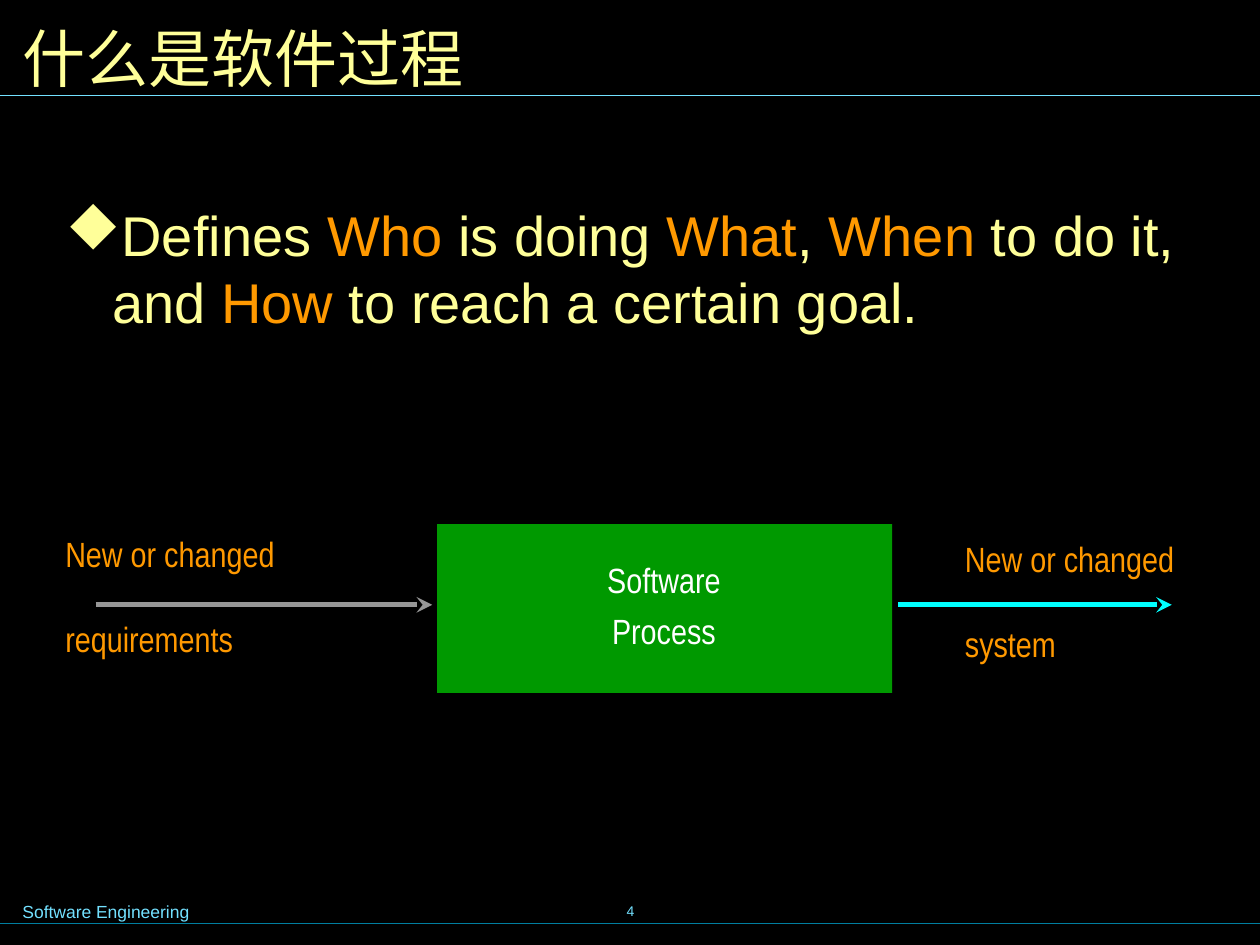
from lxml.etree import SubElement
from pptx import Presentation
from pptx.dml.color import RGBColor
from pptx.enum.shapes import MSO_CONNECTOR, MSO_SHAPE
from pptx.enum.text import MSO_ANCHOR, MSO_AUTO_SIZE, PP_ALIGN
from pptx.oxml.ns import qn
from pptx.util import Inches, Pt

WIDTH, HEIGHT = 10, 7.5
YELLOW, ORANGE, SKY = "FFFF99", "FF9900", "73E1FF"

# Content
TITLE = "什么是软件过程"
DEFINITION = [
    ("Defines ", YELLOW), ("Who ", ORANGE), ("is doing ", YELLOW),
    ("What", ORANGE), (", ", YELLOW), ("When ", ORANGE),
    ("to do it, and ", YELLOW), ("How", ORANGE),
    (" to reach a certain goal.", YELLOW),
]
# Lines, box, colour, alignment, gap between the lines in points
DIAGRAM_LABELS = [
    (["New or changed", "requirements"], (0.42, 4.23, 1.86, 1.06), ORANGE, PP_ALIGN.LEFT, 29),
    (["New or changed", "system"], (7.56, 4.27, 1.93, 1.06), ORANGE, PP_ALIGN.LEFT, 29),
    (["Software", "Process"], (4.72, 4.44, 1.1, 0.78), "FFFFFF", PP_ALIGN.CENTER, 9),
]
PROCESS_BOX = (3.47, 4.16, 3.61, 1.34)
ARROW_Y = 4.8
ARROWS = [(0.76, 3.43, "969696"), (7.13, 9.3, "00FFFF")]
RULES = [(0.76, SKY), (7.33, "007E9F")]


def color(value):
    return RGBColor.from_string(value)


def inches(values):
    return [Inches(value) for value in values]


def style(font, name, size, value):
    font.name, font.size = name, Pt(size)
    font.color.rgb = color(value)


def add_text(slide, lines, box, name, size, value, align=PP_ALIGN.LEFT, wrap=True):
    frame = slide.shapes.add_textbox(*inches(box)).text_frame
    frame.word_wrap = wrap
    frame.text = "\n".join(lines)
    for paragraph in frame.paragraphs:
        paragraph.alignment = align
        style(paragraph.runs[0].font, name, size, value)
    return frame


def add_line(slide, start, end, y, value, weight, arrow=False):
    line = slide.shapes.add_connector(MSO_CONNECTOR.STRAIGHT, *inches((start, y, end, y)))
    line.line.color.rgb = color(value)
    line.line.width = Pt(weight)
    if arrow:
        SubElement(line.line._get_or_add_ln(), qn("a:tailEnd"), type="stealth")
    SubElement(line._element.spPr, qn("a:effectLst"))


def add_diamond_bullet(paragraph, value, indent):
    properties = paragraph._p.get_or_add_pPr()
    properties.set("marL", str(Inches(indent)))
    properties.set("indent", str(-Inches(indent)))
    bullet_color = SubElement(properties, qn("a:buClr"))
    SubElement(bullet_color, qn("a:srgbClr"), val=value)
    # The letter u is a diamond in this symbol font
    SubElement(properties, qn("a:buFont"), typeface="Wingdings", pitchFamily="2", charset="2")
    SubElement(properties, qn("a:buChar"), char="u")


def main():
    presentation = Presentation()
    presentation.slide_width, presentation.slide_height = inches((WIDTH, HEIGHT))
    slide = presentation.slides.add_slide(presentation.slide_layouts[5])
    slide.background.fill.solid()
    slide.background.fill.fore_color.rgb = color("000000")

    # Rules and footer
    for y, value in RULES:
        add_line(slide, 0, WIDTH, y, value, 0.75)
    add_text(slide, ["Software Engineering"], (0.08, 7.1, 2.95, 0.27), "Arial", 10, SKY)
    number = add_text(slide, ["4"], (3.42, 6.98, 3.17, 0.5), "Arial", 8, SKY, PP_ALIGN.CENTER)
    number.vertical_anchor = MSO_ANCHOR.MIDDLE

    # Title
    title = slide.shapes.title
    title.left, title.top, title.width, title.height = inches((0.08, 0.08, 9.84, 0.75))
    title.text_frame.text = TITLE
    title.text_frame.auto_size = MSO_AUTO_SIZE.NONE
    title.text_frame.vertical_anchor = MSO_ANCHOR.MIDDLE
    heading = title.text_frame.paragraphs[0]
    heading.alignment = PP_ALIGN.LEFT
    style(heading.runs[0].font, "Arial Narrow", 36, YELLOW)

    # Definition
    frame = slide.shapes.add_textbox(*inches((0.4, 1.53, 9.29, 5.14))).text_frame
    frame.word_wrap = True
    frame.margin_left = frame.margin_right = Inches(0.12)
    frame.margin_top = frame.margin_bottom = Inches(0.06)
    definition = frame.paragraphs[0]
    add_diamond_bullet(definition, YELLOW, 0.37)
    for text, value in DEFINITION:
        run = definition.add_run()
        run.text = text
        style(run.font, "Arial", 32, value)

    # Process diagram
    process = slide.shapes.add_shape(MSO_SHAPE.RECTANGLE, *inches(PROCESS_BOX))
    process.shadow.inherit = False
    process.fill.solid()
    process.fill.fore_color.rgb = color("009900")
    process.line.fill.background()
    for lines, box, value, align, gap in DIAGRAM_LABELS:
        label = add_text(slide, lines, box, "Arial Narrow", 20, value, align, wrap=False)
        for paragraph in label.paragraphs:
            paragraph.line_spacing = Pt(20)
        label.paragraphs[1].space_before = Pt(gap)
    for start, end, value in ARROWS:
        add_line(slide, start, end, ARROW_Y, value, 3, arrow=True)

    presentation.save("out.pptx")


if __name__ == "__main__":
    main()
